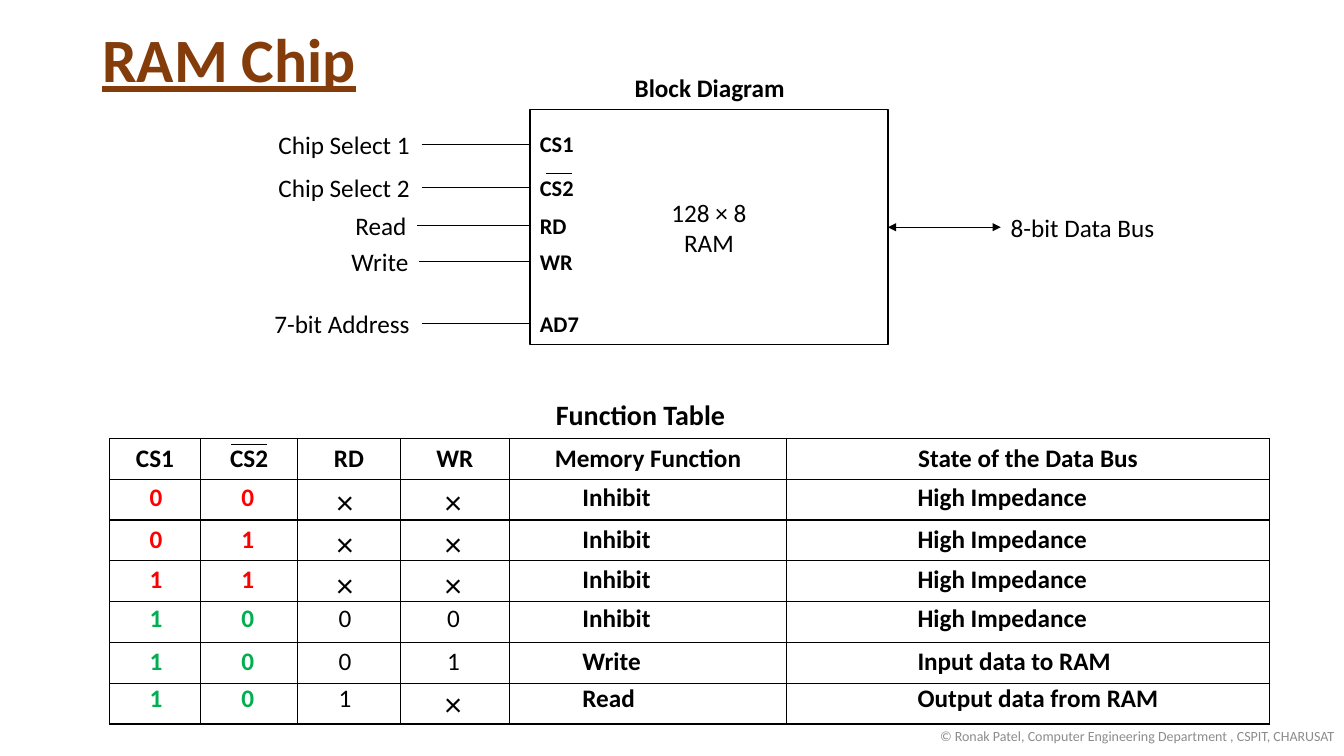
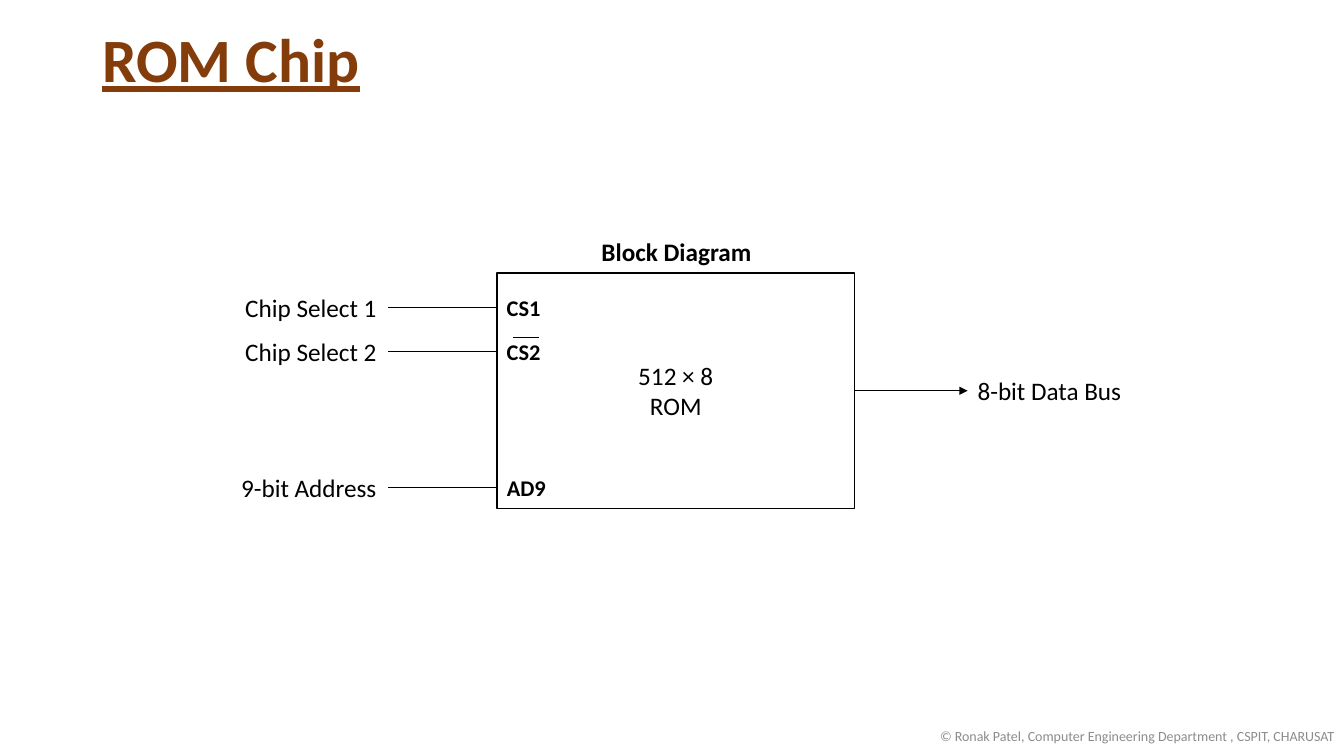
from itertools import product
from lxml.etree import SubElement
from pptx import Presentation
from pptx.dml.color import RGBColor
from pptx.enum.shapes import MSO_CONNECTOR, MSO_SHAPE
from pptx.enum.text import MSO_ANCHOR, MSO_AUTO_SIZE, PP_ALIGN
from pptx.oxml.ns import qn
from pptx.util import Inches, Pt

COLUMNS, ROWS = 160, 90
BLACK, WHITE, RED, GREEN = "000000", "FFFFFF", "FF0000", "00B050"
PLAIN = {"name": "Calibri", "size": Pt(18), "bold": False}
BOLD = {**PLAIN, "bold": True}
PIN = {**BOLD, "size": Pt(16)}
HEADING = {**BOLD, "size": Pt(20)}
CROSS = {**PLAIN, "size": Pt(24)}
TITLE = {**BOLD, "size": Pt(44), "underline": True}
FOOTER = {**PLAIN, "size": Pt(10)}
LEFT, CENTER, RIGHT = PP_ALIGN.LEFT, PP_ALIGN.CENTER, PP_ALIGN.RIGHT
FIXED = {"word_wrap": True, "vertical_anchor": MSO_ANCHOR.MIDDLE}
WRAPPED = {"word_wrap": True, "auto_size": MSO_AUTO_SIZE.SHAPE_TO_FIT_TEXT}
LABEL = {**WRAPPED, "word_wrap": False}
LINE_HEIGHT, PIN_HEIGHT, CROSS_HEIGHT = 4.85, 4.44, 6.06


def grid(cells):
    return Inches(cells / 12)


def color(value):
    return RGBColor.from_string(value)


def apply(target, values):
    for key, value in values.items():
        setattr(target, key, value)


def write(frame, lines, style, ink=BLACK, align=LEFT, spacing=None):
    for index, line in enumerate(lines):
        para = frame.add_paragraph() if index else frame.paragraphs[0]
        para.alignment = align
        if spacing:
            para.line_spacing = spacing
        span = para.add_run()
        span.text = line
        apply(span.font, style)
        span.font.color.rgb = color(ink)


def add_text(page, box, text, style, layout=LABEL, ink=BLACK, align=LEFT, spacing=None):
    frame = page.shapes.add_textbox(*map(grid, box)).text_frame
    apply(frame, layout)
    write(frame, [text], style, ink, align, spacing)


def add_line(page, start, end, arrows=()):
    line = page.shapes.add_connector(MSO_CONNECTOR.STRAIGHT, *map(grid, start + end))
    line.line.color.rgb = color(BLACK)
    line.line.width = Pt(0.5)
    properties = line._element.spPr
    for arrow in arrows:
        SubElement(properties.find(qn("a:ln")), qn(f"a:{arrow}"), type="triangle")
    SubElement(properties, qn("a:effectLst"))


def add_page(deck, title):
    page = deck.slides.add_slide(deck.slide_layouts[6])
    add_text(page, (11, 2, 138, 10.9), title, TITLE, FIXED, "843C0B", spacing=0.9)
    add_text(page, (106, 85.2, 54, 4.8),
             "© Ronak Patel, Computer Engineering Department , CSPIT, CHARUSAT",
             FOOTER, FIXED, "8C8C8C", RIGHT)
    return page


def add_block_diagram(page, left, top, lines, pins, bus_arrows):
    width, height, bus = 42.6, 28, 13.45
    right, middle = left + width, top + height / 2
    chip = page.shapes.add_shape(MSO_SHAPE.RECTANGLE, *map(grid, (left, top, width, height)))
    chip.shadow.inherit = False
    chip.fill.solid()
    chip.fill.fore_color.rgb = color(WHITE)
    chip.line.color.rgb = color(BLACK)
    chip.line.width = Pt(1)
    chip.text_frame.vertical_anchor = MSO_ANCHOR.MIDDLE
    write(chip.text_frame, lines, PLAIN, align=CENTER)
    add_text(page, (left + 11.28, top - 5, 20.4, LINE_HEIGHT), "Block Diagram", BOLD)
    for label, label_width, pin, pin_width, offset, reach in pins:
        level = top + offset
        start = left - reach
        add_text(page, (start - label_width, level - 2.4, label_width, LINE_HEIGHT),
                 label, PLAIN)
        add_text(page, (left, level - 2.2, pin_width, PIN_HEIGHT), pin, PIN)
        add_line(page, (start, level), (left, level))
    add_line(page, (left + 1.9, top + 7.6), (left + 5, top + 7.6))
    add_line(page, (right + bus, middle), (right, middle), bus_arrows)
    add_text(page, (right + bus, middle - 2.4, 19.7, LINE_HEIGHT), "8-bit Data Bus", PLAIN)


def format_cell(cell):
    apply(cell, {"margin_left": 0, "margin_right": 0, "margin_top": Pt(1),
                 "margin_bottom": Pt(1), "vertical_anchor": MSO_ANCHOR.MIDDLE})
    properties = cell._tc.get_or_add_tcPr()
    for side in "LRTB":
        border = SubElement(properties, qn(f"a:ln{side}"), w=str(Pt(1)))
        SubElement(SubElement(border, qn("a:solidFill")), qn("a:srgbClr"), val=BLACK)
    cell.fill.solid()
    cell.fill.fore_color.rgb = color(WHITE)


def add_function_table(page, left, top, widths, row_height, header, records):
    add_text(page, (65, top - 5.5, 23.8, 5.3), "Function Table", HEADING, WRAPPED)
    row_count = len(records) + 1
    table = page.shapes.add_table(row_count, len(widths), *map(
        grid, (left, top, sum(widths), row_height * row_count))).table
    table.first_row = table.horz_banding = False
    for column, width in zip(table.columns, widths):
        column.width = grid(width)
    for row in table.rows:
        row.height = grid(row_height)
    for row, column in product(range(row_count), range(len(widths))):
        format_cell(table.cell(row, column))
    for column, text in enumerate(header):
        write(table.cell(0, column).text_frame, [text], BOLD, align=CENTER)
    bar_center = left + widths[0] + widths[1] / 2
    add_line(page, (bar_center - 2.15, top + 0.7), (bar_center + 2.15, top + 0.7))
    for offset, ink, values in records:
        add_record(page, left, top + offset, ink, values)


def add_record(page, left, top, ink, values):
    offsets = (3.6, 14.5, 26.1, 39, 55.1, 95)
    state_widths = {"High Impedance": 22.7, "Input data to RAM": 25.7,
                    "Output data from RAM": 31.4}
    for column, (offset, text) in enumerate(zip(offsets, values)):
        start = left + offset
        if text == "×":
            add_text(page, (start - 0.25, top, 4.44, CROSS_HEIGHT), text, CROSS, WRAPPED)
        elif column < 4:
            add_text(page, (start, top, 3.96, LINE_HEIGHT), text,
                     BOLD if column < 2 else PLAIN, ink=ink if column < 2 else BLACK)
        elif column == 4:
            add_text(page, (start, top, 12.24, LINE_HEIGHT), text, BOLD, WRAPPED)
        else:
            add_text(page, (start, top, state_widths[text], LINE_HEIGHT), text, BOLD)


SELECT_PINS = [("Chip Select 1", 18.24, "CS1", 6.48, 4.1, 12.9),
               ("Chip Select 2", 18.24, "CS2", 6.48, 9.3, 12.9)]
RAM_PINS = SELECT_PINS + [("Read", 8.52, "RD", 5.64, 13.8, 13.45),
                          ("Write", 9.24, "WR", 6.36, 18.1, 13.2),
                          ("7-bit Address", 18.72, "AD7", 7.08, 25.5, 12.9)]
ROM_PINS = SELECT_PINS + [("9-bit Address", 18.72, "AD9", 7.08, 25.5, 12.9)]
HEADER = ("CS1", "CS2", "RD", "WR", "Memory Function", "State of the Data Bus")
FUNCTIONS = [
    (4.5, RED, ("0", "0", "×", "×", "Inhibit", "High Impedance")),
    (9.5, RED, ("0", "1", "×", "×", "Inhibit", "High Impedance")),
    (14.3, RED, ("1", "1", "×", "×", "Inhibit", "High Impedance")),
    (18.95, GREEN, ("1", "0", "0", "0", "Inhibit", "High Impedance")),
    (24, GREEN, ("1", "0", "0", "1", "Write", "Input data to RAM")),
    (28.45, GREEN, ("1", "0", "1", "×", "Read", "Output data from RAM")),
]

deck = Presentation()
deck.slide_width, deck.slide_height = grid(COLUMNS), grid(ROWS)

ram_page = add_page(deck, "RAM Chip")
add_block_diagram(ram_page, 63.1, 13.05, ["128 × 8", "RAM"], RAM_PINS, ("headEnd", "tailEnd"))
add_function_table(ram_page, 13.05, 52.2, (10.8, 11.6, 12.2, 13, 33, 57.5), 4.86,
                   HEADER, FUNCTIONS)

rom_page = add_page(deck, "ROM Chip")
add_block_diagram(rom_page, 59.15, 32.52, ["512 × 8", "ROM"], ROM_PINS, ("headEnd",))

deck.save("out.pptx")
